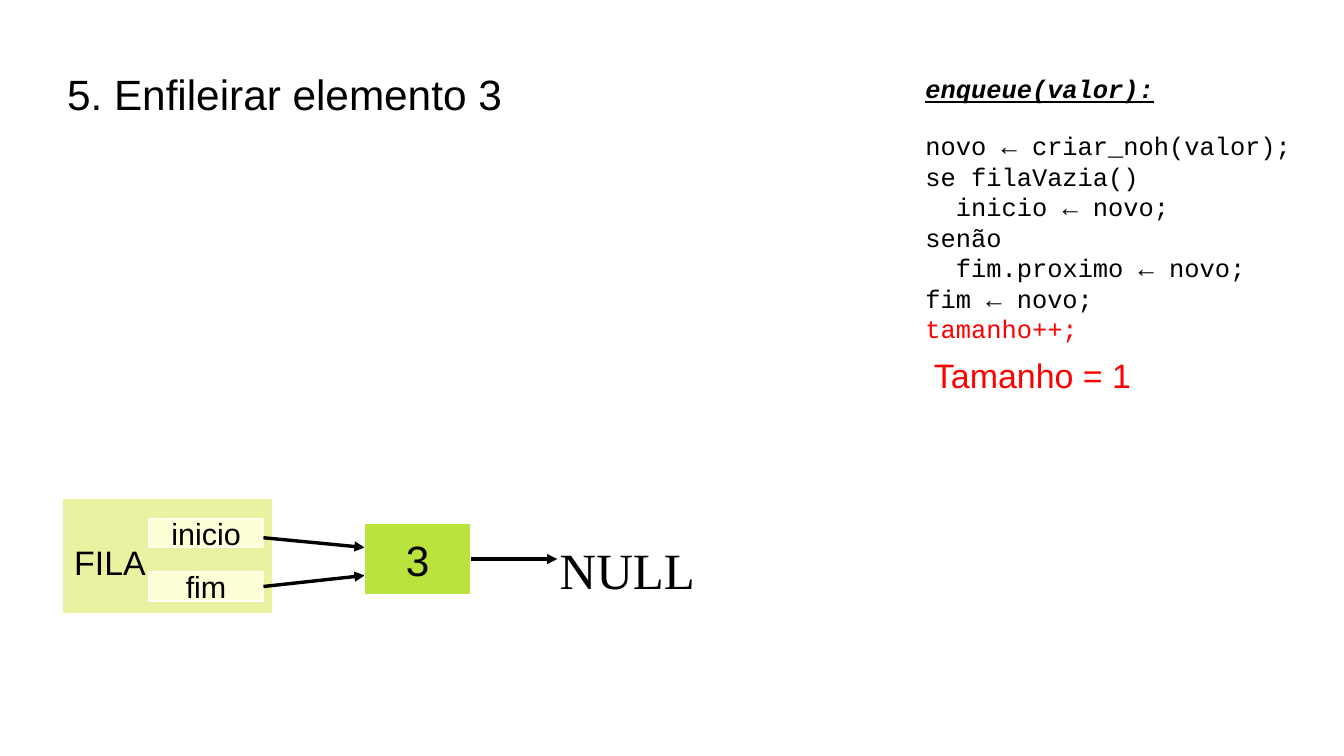
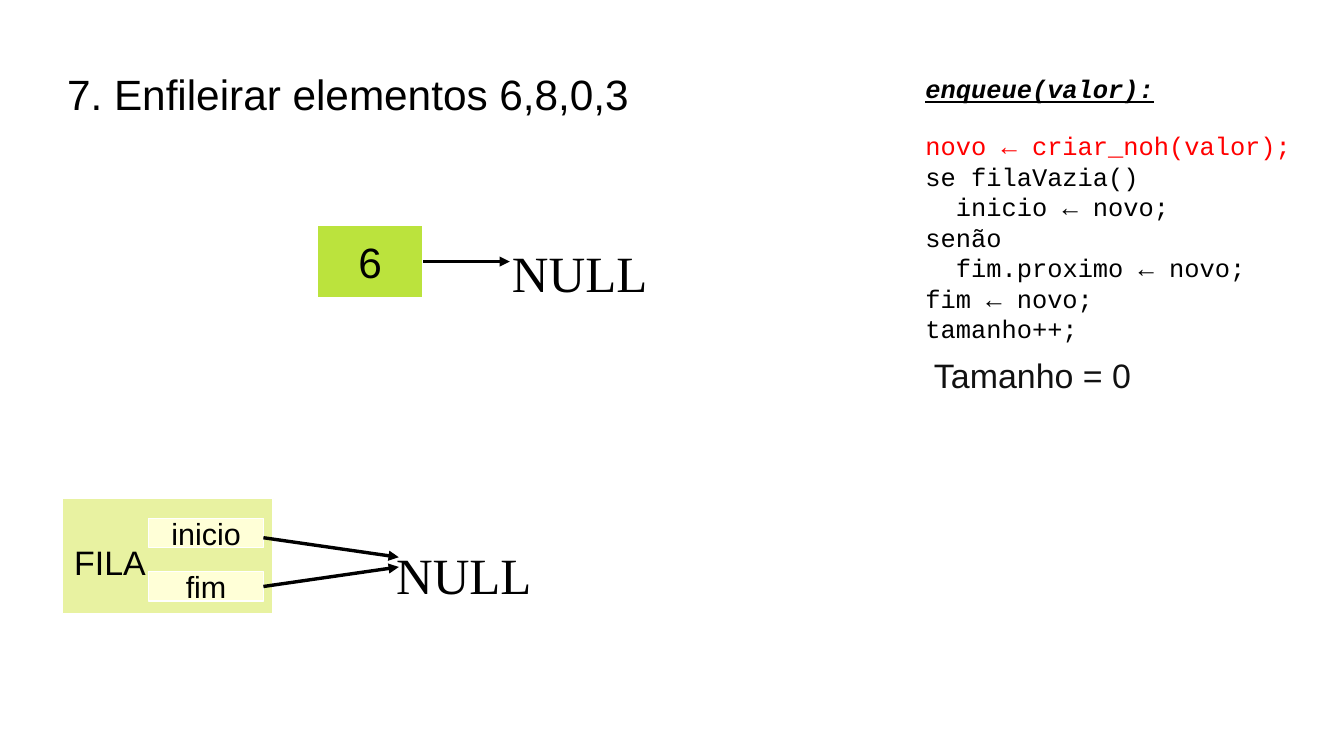
from lxml.etree import SubElement
from pptx import Presentation
from pptx.dml.color import RGBColor
from pptx.enum.shapes import MSO_CONNECTOR as CONNECTOR, MSO_SHAPE as SHAPE
from pptx.enum.text import MSO_ANCHOR as ANCHOR, MSO_AUTO_SIZE as AUTO_SIZE, PP_ALIGN as ALIGN
from pptx.oxml.ns import qn
from pptx.util import Inches, Pt

BLACK = RGBColor(0x00, 0x00, 0x00)
DARK = RGBColor(0x11, 0x11, 0x11)
RED = RGBColor(0xFF, 0x00, 0x00)
WHITE = RGBColor(0xFF, 0xFF, 0xFF)
QUEUE_GREEN = RGBColor(0xE8, 0xF2, 0xA1)
FIELD_YELLOW = RGBColor(0xFF, 0xFF, 0xD7)
NODE_GREEN = RGBColor(0xBB, 0xE3, 0x3D)

SANS, SERIF, MONO = "Arial", "Times New Roman", "Courier New"
RIGHT_SIDE = 3
NODE_W, NODE_H = 0.87, 0.59
FIELD_X, FIELD_W, FIELD_H = 1.22, 0.94, 0.24
CODE_INDENT = Inches(0.25)
CODE_LINES = [
    (0, "novo ← criar_noh(valor);"),
    (0, "se filaVazia()"),
    (1, "inicio ← novo;"),
    (0, "senão"),
    (1, "fim.proximo ← novo;"),
    (0, "fim ← novo;"),
    (0, "tamanho++;"),
]


def add_run(p, text, size, font=SANS, color=BLACK):
    r = p.add_run()
    r.text = text
    r.font.size = Pt(size)
    r.font.name = font
    r.font.color.rgb = color
    return r


def add_title(s, text):
    sp = s.shapes.title
    sp.left, sp.top, sp.width, sp.height = (Inches(v) for v in (0.55, 0.25, 9.92, 1.04))
    tf = sp.text_frame
    tf.auto_size = AUTO_SIZE.NONE
    tf.vertical_anchor = ANCHOR.MIDDLE
    tf.margin_left = tf.margin_right = tf.margin_top = tf.margin_bottom = 0
    p = tf.paragraphs[0]
    p.alignment = ALIGN.LEFT
    add_run(p, text, 25)


def add_label(s, x, y, w, h, text="", size=20, font=SANS, color=BLACK):
    tf = s.shapes.add_textbox(Inches(x), Inches(y), Inches(w), Inches(h)).text_frame
    tf.word_wrap = True
    if text:
        add_run(tf.paragraphs[0], text, size, font, color)
    return tf


def add_box(s, x, y, w, h, fill, text="", size=18):
    sp = s.shapes.add_shape(SHAPE.RECTANGLE, Inches(x), Inches(y), Inches(w), Inches(h))
    sp.shadow.inherit = False
    sp.fill.solid()
    sp.fill.fore_color.rgb = fill
    sp.line.color.rgb = WHITE
    sp.line.width = Pt(0)
    if text:
        tf = sp.text_frame
        tf.word_wrap = False
        tf.vertical_anchor = ANCHOR.MIDDLE
        p = tf.paragraphs[0]
        p.alignment = ALIGN.CENTER
        add_run(p, text, size)
    return sp


def add_arrow(s, start, end, source=None):
    line = s.shapes.add_connector(CONNECTOR.STRAIGHT, *(Inches(v) for v in start + end))
    if source is not None:
        line.begin_connect(source, RIGHT_SIDE)
    line.line.color.rgb = BLACK
    line.line.width = Pt(0)
    SubElement(line.line._get_or_add_ln(), qn("a:tailEnd"), type="triangle")
    SubElement(line._element.spPr, qn("a:effectLst"))


def add_null(s, x, y):
    add_label(s, x, y, 1.34, 0.52, "NULL", 30, SERIF)


def add_node(s, x, y, value):
    node = add_box(s, x, y, NODE_W, NODE_H, NODE_GREEN, value, 25)
    add_null(s, x + 1.5, y + 0.08)
    middle = y + NODE_H / 2
    add_arrow(s, (x + NODE_W, middle), (x + 1.58, middle), node)


def add_queue(s, inicio_target, fim_target):
    add_box(s, 0.51, 4.09, 1.73, 0.94, QUEUE_GREEN)
    add_box(s, FIELD_X, 4.25, FIELD_W, FIELD_H, FIELD_YELLOW, "inicio")
    fim = add_box(s, FIELD_X, 4.69, FIELD_W, FIELD_H, FIELD_YELLOW, "fim")
    add_label(s, 0.51, 4.39, 0.85, 0.41, "FILA")
    right = FIELD_X + FIELD_W
    add_arrow(s, (right, 4.41), inicio_target)
    add_arrow(s, (right, 4.69 + FIELD_H / 2), fim_target, fim)


def add_code(s, current):
    tf = add_label(s, 7.49, 0.55, 3.26, 2.32)
    p = tf.paragraphs[0]
    p.space_after = Pt(16)
    font = add_run(p, "enqueue(valor):", 15, MONO).font
    font.bold = font.italic = font.underline = True
    for i, (depth, text) in enumerate(CODE_LINES):
        p = tf.add_paragraph()
        p._p.get_or_add_pPr().set("marL", str(depth * CODE_INDENT))
        add_run(p, text, 15, MONO, RED if i == current else BLACK)


def add_step(prs, title, current, size_text, size_color):
    s = prs.slides.add_slide(prs.slide_layouts[5])
    add_title(s, title)
    add_code(s, current)
    add_label(s, 7.56, 2.86, 1.89, 0.41, size_text, color=size_color)
    return s


def main():
    prs = Presentation()
    prs.slide_width, prs.slide_height = Inches(11.02), Inches(6.2)

    s = add_step(prs, "5. Enfileirar elemento 3", 6, "Tamanho = 1", RED)
    add_queue(s, (2.99, 4.49), (2.99, 4.72))
    add_node(s, 2.99, 4.29, "3")

    s = add_step(prs, "7. Enfileirar elementos 6,8,0,3", 0, "Tamanho = 0", DARK)
    add_queue(s, (3.27, 4.57), (3.27, 4.65))
    add_null(s, 3.15, 4.41)
    add_node(s, 2.6, 1.85, "6")

    prs.save("out.pptx")


if __name__ == "__main__":
    main()
